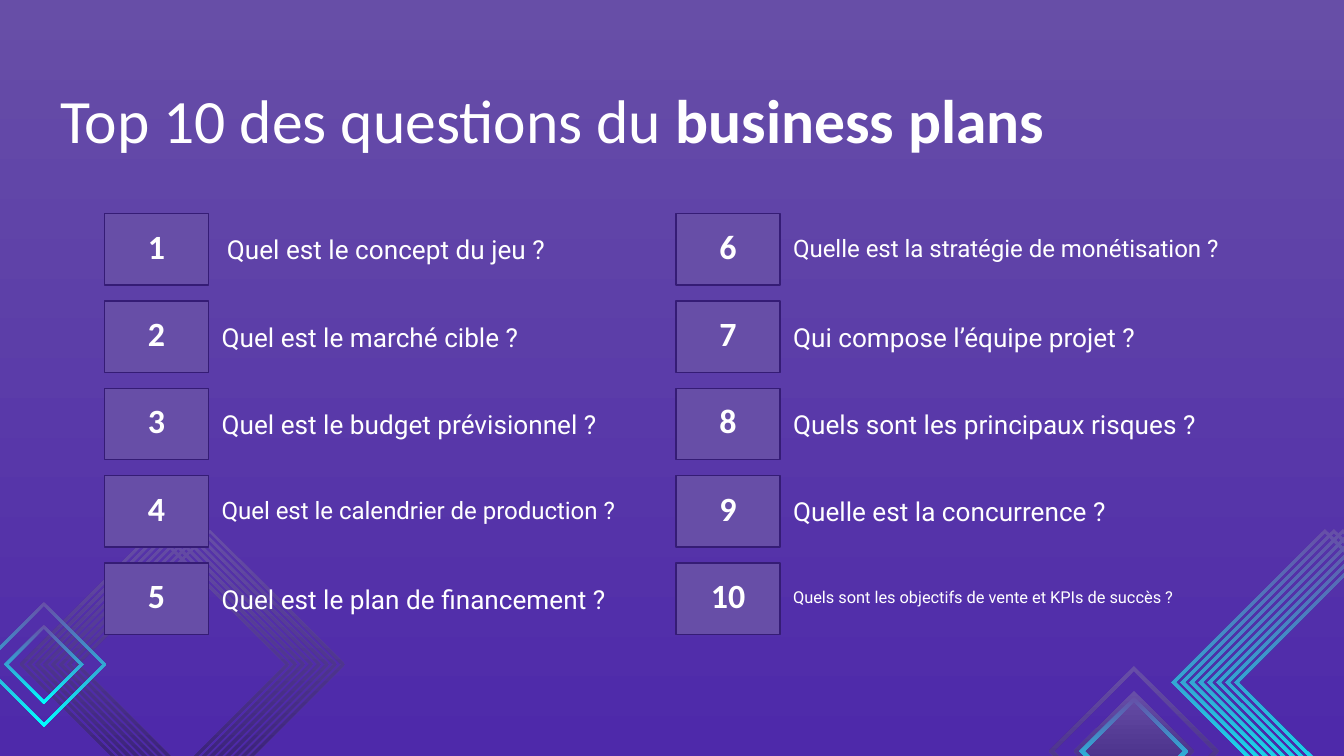
from dataclasses import dataclass

from pptx import Presentation
from pptx.dml.color import RGBColor as Rgb
from pptx.enum.shapes import MSO_SHAPE as Kind
from pptx.enum.text import MSO_ANCHOR as Anchor, MSO_AUTO_SIZE as Fit, PP_ALIGN as Align
from pptx.util import Cm, Pt


@dataclass(frozen=True)
class Theme:
    white: str = "FFFFFF"
    mauve: str = "674EA7"
    dark: str = "351C75"
    cyan: str = "00FFFF"
    deep: str = "4E29AA"
    head: str = "Calibri"
    body: str = "Roboto"
    title: float = 33
    number: float = 18.2
    label: float = 14
    small: float = 12.9
    tiny: float = 8.8


THEME = Theme()

# Each question, with what sets it apart from the usual label
ASKS = [
    ("Quel est le concept du jeu ?", dict(shift=0.1)),
    ("Quel est le marché cible ?", {}),
    ("Quel est le budget prévisionnel ?", {}),
    ("Quel est le calendrier de production ?", dict(size=THEME.small, space=0.9)),
    ("Quel est le plan de financement ?", {}),
    ("Quelle est la stratégie de monétisation ?",
     dict(size=THEME.small, space=0.9, width=9.42)),
    ("Qui compose l’équipe projet ?", {}),
    ("Quels sont les principaux risques ?", {}),
    ("Quelle est la concurrence ?", {}),
    ("Quels sont les objectifs de vente et KPIs de succès ?",
     dict(size=THEME.tiny, space=0.8)),
]
ROWS = 5
LEFT, TOP = 1.98, 4.04
COL, ROW = 10.8, 1.65
BOX_W, BOX_H = 1.96, 1.35


def write(frame, *runs, font, size, color, align=Align.LEFT,
          anchor=Anchor.MIDDLE, space=None):
    """Fill a text frame with one paragraph of (text, bold) runs."""
    frame.word_wrap = True
    frame.auto_size = Fit.NONE
    frame.vertical_anchor = anchor
    frame.margin_left = frame.margin_right = Cm(0.25)
    frame.margin_top = frame.margin_bottom = Cm(0.25)
    para = frame.paragraphs[0]
    para.alignment = align
    if space:
        para.line_spacing = space
    for text, bold in runs:
        run = para.add_run()
        run.text = text
        run.font.name = font
        run.font.size = Pt(size)
        run.font.bold = bold
        run.font.color.rgb = Rgb.from_string(color)


def blend(fill, start, end, angle):
    """Set a two-colour gradient; the angle runs counter-clockwise."""
    fill.gradient()
    fill.gradient_angle = angle
    for stop, color in zip(fill.gradient_stops, (start, end)):
        stop.color.rgb = Rgb.from_string(color)


def rhomb(x, y, reach):
    """Corners of a diamond, from the left one back to it."""
    sides = [(-1, 0), (0, -1), (1, 0), (0, 1), (-1, 0)]
    return [(Cm(x + reach * i), Cm(y + reach * j)) for i, j in sides]


class Deck:
    """Holds the theme and the current slide."""

    def __init__(self, theme, slide):
        self.theme = theme
        self.slide = slide
        self.shapes = slide.shapes

    def back(self):
        blend(self.slide.background.fill, self.theme.deep, self.theme.mauve, 90)

    def paint(self, shape, end):
        shape.shadow.inherit = False
        shape.line.fill.background()
        blend(shape.fill, self.theme.mauve, end, 270)

    def ring(self, x, y, reach, thick, end):
        outer = rhomb(x, y, reach)
        inner = rhomb(x, y, reach - thick)[::-1]
        form = self.shapes.build_freeform(*outer[0], scale=1.0)
        form.add_line_segments(outer[1:], close=True)
        form.move_to(*inner[0])
        form.add_line_segments(inner[1:], close=True)
        self.paint(form.convert_to_shape(), end)

    def gem(self, x, y, reach, end):
        shape = self.shapes.add_shape(Kind.DIAMOND, Cm(x - reach), Cm(y - reach),
                                      Cm(2 * reach), Cm(2 * reach))
        self.paint(shape, end)

    def title(self, *runs):
        look = self.theme
        head = self.shapes.title
        head.left, head.top = Cm(0.89), Cm(1.3)
        head.width, head.height = Cm(24.1), Cm(1.6)
        write(head.text_frame, *runs, font=look.head, size=look.title,
              color=look.white, anchor=Anchor.TOP)

    def badge(self, x, y, num):
        look = self.theme
        box = self.shapes.add_shape(Kind.RECTANGLE, Cm(x), Cm(y), Cm(BOX_W), Cm(BOX_H))
        box.shadow.inherit = False
        box.fill.solid()
        box.fill.fore_color.rgb = Rgb.from_string(look.mauve)
        box.line.color.rgb = Rgb.from_string(look.dark)
        box.line.width = Pt(0.75)
        write(box.text_frame, (str(num), True), font=look.head, size=look.number,
              color=look.white, align=Align.CENTER, space=0.8)

    def label(self, x, y, text, size=THEME.label, space=None, width=8.74, shift=0):
        look = self.theme
        box = self.shapes.add_textbox(Cm(x + shift), Cm(y), Cm(width), Cm(BOX_H))
        write(box.text_frame, (text, False), font=look.body, size=size,
              color=look.white, space=space)


def main():
    prs = Presentation()
    prs.slide_width, prs.slide_height = Cm(25.4), Cm(14.29)
    deck = Deck(THEME, prs.slides.add_slide(prs.slide_layouts[5]))
    deck.back()

    for i in range(8):
        deck.ring(2.92 + 0.15 * i, 12.56, 2.55, 0.07, THEME.dark)
    for reach in (1.18, 0.75):
        deck.ring(0.83, 12.56, reach, 0.07, THEME.cyan)
    for i in range(8):
        deck.ring(25.04 + 0.17 * i, 12.9, 2.9, 0.08, THEME.cyan)
    deck.gem(21.43, 14.2, 1.14, THEME.dark)
    deck.ring(21.43, 14.2, 1.61, 0.1, THEME.dark)
    deck.ring(21.43, 14.2, 1.03, 0.1, THEME.cyan)

    deck.title(("Top 10 des questions du ", False), ("business plans", True))
    for i, (text, style) in enumerate(ASKS):
        col, row = divmod(i, ROWS)
        x, y = LEFT + COL * col, TOP + ROW * row
        deck.badge(x, y, i + 1)
        deck.label(x + BOX_W, y, text, **style)

    prs.save("out.pptx")


if __name__ == "__main__":
    main()
